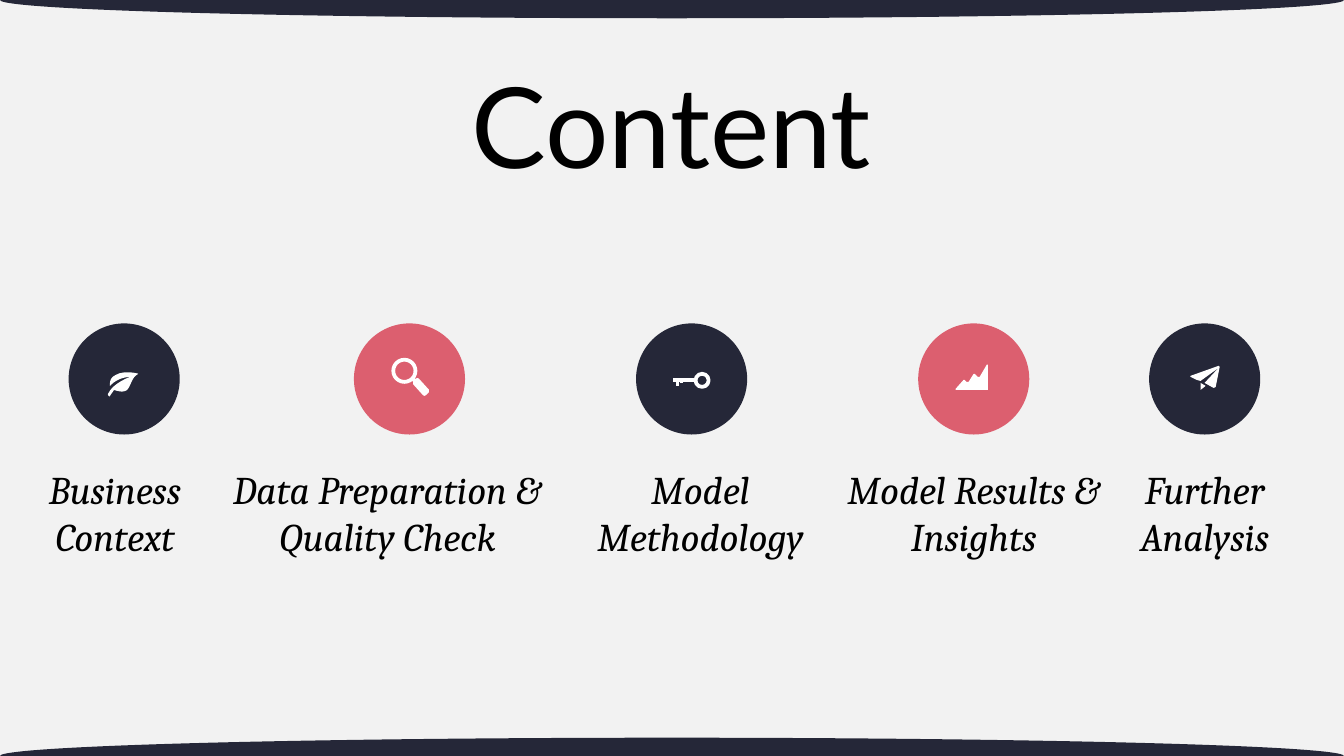
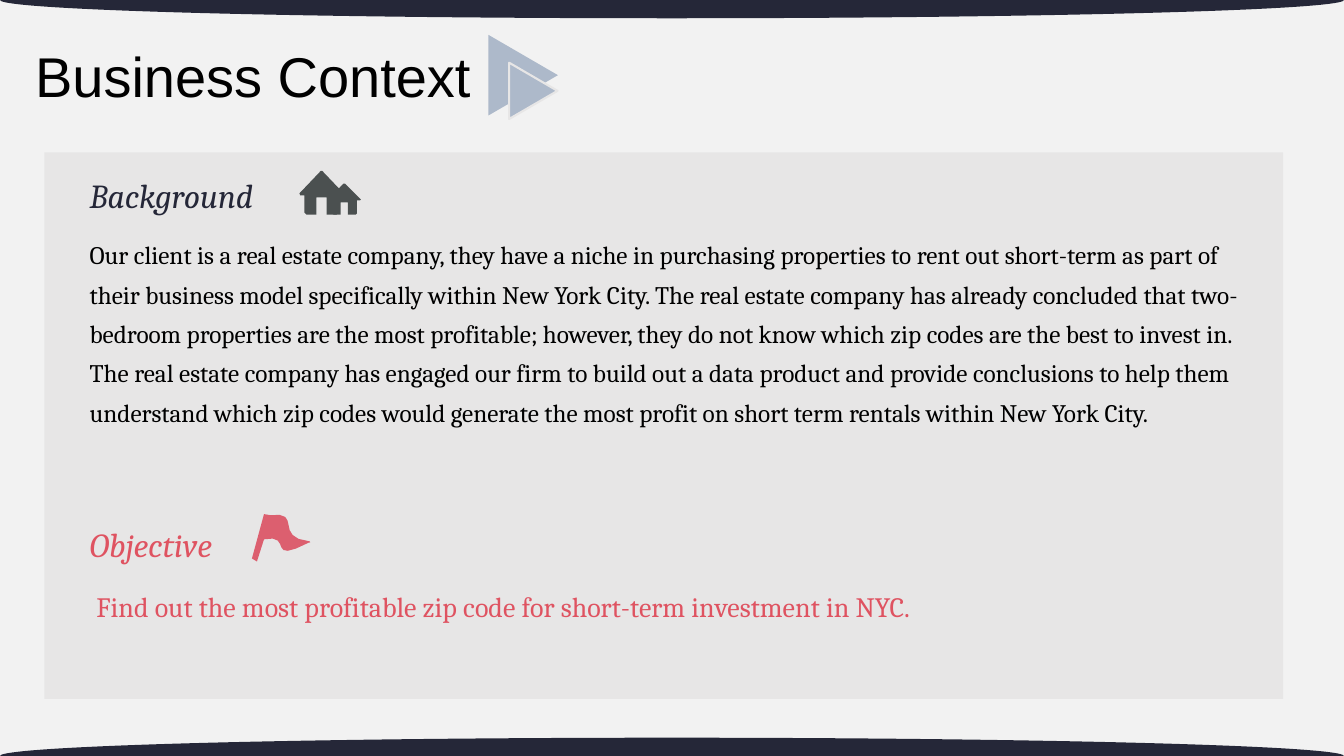
from lxml.etree import SubElement
from pptx import Presentation
from pptx.dml.color import RGBColor
from pptx.enum.shapes import MSO_CONNECTOR as Line, MSO_SHAPE as Shape
from pptx.enum.text import MSO_ANCHOR as Anchor, MSO_AUTO_SIZE as AutoSize
from pptx.enum.text import PP_ALIGN as Align
from pptx.oxml.ns import qn
from pptx.util import Cm, Pt

# Shared look
PAPER, PANEL, WHITE, BLACK = "F2F2F2", "E7E6E6", "FFFFFF", "000000"
NAVY, ROSE, RED, STEEL, SLATE = "252738", "DC5F6F", "DF5361", "ADB9CA", "4B5050"
SLIDE_WIDTH, SLIDE_HEIGHT = 33.87, 19.05
BAND_HEIGHT = 0.92
DISC_SIZE, DISC_TOP = 2.8, 8.15
LABEL_TOP, LABEL_HEIGHT = 11.6, 2.3
ICON_STROKE = 2.7
ICON_UNIT = Cm(2.54) / Cm(100)  # cm per step of the icon drawing grid
FINENESS = 10  # subdivisions of a grid step, for smooth curves

TITLE = {"alignment": Align.CENTER, "line_spacing": 0.9}
CENTERED = {"alignment": Align.CENTER}
PROSE = {"alignment": Align.LEFT, "line_spacing": 1.3}
LEFT = {"alignment": Align.LEFT}
LABEL_FONT = {"name": "Cambria", "size": Pt(28), "italic": True}
HEADING_FONT = {"name": "Cambria", "size": Pt(24), "italic": True}

# Icon outlines on the grid: pairs are corners, sextuples are Bezier curves
LEAF = [(47, 51), (40, 54, 41, 60, 41, 62), (49, 53, 61, 53, 61, 53),
        (61, 53, 44, 59, 39, 70), (39, 72, 41, 73, 41, 72), (45, 66),
        (48, 67, 54, 69, 58, 66), (62, 62, 62, 54, 69, 50),
        (71, 50, 55, 46, 47, 51)]
LENS_HANDLE = [(60, 59), (63, 56), (73, 67), (70, 70)]
AREA_CHART = [(68, 41), (61, 53), (59, 53), (56, 50), (55, 50), (50, 58),
              (48, 58), (46, 56), (45, 56), (37, 65), (37, 66), (69, 66),
              (69, 41)]
PLANE_WINGS = [(69, 42), (41, 52), (41, 53), (47, 56), (51, 57), (69, 44),
               (55, 59), (64, 64), (66, 63), (70, 43)]
PLANE_TAIL = [(51, 66), (56, 62), (51, 59)]
SMALL_HOUSE = [(62, 29), (47, 14), (46, 13, 45, 13, 44, 14), (30, 29), (30, 30),
               (33, 30), (33, 43), (35, 44), (42, 44), (42, 32), (49, 32),
               (49, 44), (57, 44), (58, 43), (58, 30), (61, 30)]
BIG_HOUSE = [(45, 23), (25, 2), (24, 0, 22, 0, 21, 2), (1, 23), (2, 25),
             (6, 25), (6, 42), (8, 44), (18, 44), (18, 27), (28, 27),
             (28, 44), (38, 44), (39, 42), (39, 25), (44, 25)]
FLAG = [(57, 30), (21, 26, 51, 0, 18, 4), (12, 3), (0, 47), (5, 50), (12, 28),
        (42, 22, 13, 54, 57, 31), (58, 32, 58, 30, 57, 30)]


def color(hex_value):
    return RGBColor.from_string(hex_value)


def paint(shape, fill=None, line=None, line_width=1.5):
    shape.shadow.inherit = False
    if fill:
        shape.fill.solid()
        shape.fill.fore_color.rgb = color(fill)
    else:
        shape.fill.background()
    if line:
        shape.line.color.rgb = color(line)
        shape.line.width = Pt(line_width)
    else:
        shape.line.fill.background()
    return shape


def add_figure(page, kind, left, top, width, height, **look):
    box = [Cm(value) for value in (left, top, width, height)]
    return paint(page.shapes.add_shape(kind, *box), **look)


def write(frame, texts, layout, font, hue=BLACK):
    """Fill a text frame with equally formatted paragraphs."""
    frame.word_wrap = True
    frame.auto_size = AutoSize.NONE
    for index, text in enumerate(texts):
        para = frame.add_paragraph() if index else frame.paragraphs[0]
        span = para.add_run()
        span.text = text
        for name, value in layout.items():
            setattr(para, name, value)
        for name, value in font.items():
            setattr(span.font, name, value)
        span.font.color.rgb = color(hue)


def add_text(page, box, texts, layout, font, hue=BLACK, anchor=Anchor.TOP):
    frame = page.shapes.add_textbox(*[Cm(value) for value in box]).text_frame
    frame.vertical_anchor = anchor
    write(frame, texts, layout, font, hue)


def add_page(deck, title, box, font):
    page = deck.slides.add_slide(deck.slide_layouts.get_by_name("Title Only"))
    holder = page.shapes.title
    for name, value in zip(("left", "top", "width", "height"), box):
        setattr(holder, name, Cm(value))
    holder.text_frame.vertical_anchor = Anchor.MIDDLE
    write(holder.text_frame, [title], TITLE, font)
    return page


# Icon parts, placed from the icon's top left corner
def trace(outline, steps=8):
    """Turn corners and Bezier curves into a list of points."""
    points = [outline[0]]
    for part in outline[1:]:
        if len(part) == 2:
            points.append(part)
            continue
        nodes = [points[-1], part[:2], part[2:4], part[4:]]
        for step in range(1, steps + 1):
            t = step / steps
            weights = ((1 - t) ** 3, 3 * t * (1 - t) ** 2, 3 * t * t * (1 - t), t ** 3)
            points.append(tuple(sum(w * node[axis] for w, node in zip(weights, nodes))
                                for axis in (0, 1)))
    return [(x * FINENESS, y * FINENESS) for x, y in points]


def add_outline(page, left, top, outline, **look):
    start, *rest = trace(outline)
    builder = page.shapes.build_freeform(*start, scale=Cm(1) * ICON_UNIT / FINENESS)
    builder.add_line_segments(rest, close=True)
    return paint(builder.convert_to_shape(Cm(left), Cm(top)), **look)


def add_ring(page, left, top, x, y, size):
    add_figure(page, Shape.OVAL, left + x * ICON_UNIT, top + y * ICON_UNIT,
               size * ICON_UNIT, size * ICON_UNIT, line=WHITE, line_width=ICON_STROKE)


def add_stroke(page, left, top, x1, y1, x2, y2):
    ends = (left + x1 * ICON_UNIT, top + y1 * ICON_UNIT,
            left + x2 * ICON_UNIT, top + y2 * ICON_UNIT)
    stroke = page.shapes.add_connector(Line.STRAIGHT, *[Cm(end) for end in ends])
    stroke.line.color.rgb = color(WHITE)
    stroke.line.width = Pt(ICON_STROKE)
    SubElement(stroke.element.spPr, qn("a:effectLst"))


# Icons
def draw_leaf(page, left, top):
    add_outline(page, left, top, LEAF, fill=WHITE)


def draw_lens(page, left, top):
    add_ring(page, left, top, 39, 36, 22)
    add_stroke(page, left, top, 58, 54, 61, 58)
    add_outline(page, left, top, LENS_HANDLE, fill=WHITE, line=WHITE,
                line_width=ICON_STROKE)


def draw_key(page, left, top):
    add_ring(page, left, top, 59, 50, 13)
    for ends in ((37, 56, 58, 56), (41, 56, 41, 62), (45, 56, 45, 59)):
        add_stroke(page, left, top, *ends)


def draw_chart(page, left, top):
    add_outline(page, left, top, AREA_CHART, fill=WHITE)


def draw_plane(page, left, top):
    for outline in (PLANE_WINGS, PLANE_TAIL):
        add_outline(page, left, top, outline, fill=WHITE)


# Slides
def style_master(deck, page):
    """Set the background and move the curved bands to the master."""
    master = deck.slide_master
    master.background.fill.solid()
    master.background.fill.fore_color.rgb = color(PAPER)
    for edge in (0, SLIDE_HEIGHT):
        band = add_figure(page, Shape.OVAL, 0, edge - BAND_HEIGHT / 2,
                          SLIDE_WIDTH, BAND_HEIGHT, fill=NAVY)
        master.shapes.element.insert(2, band.element)


def build_content(deck):
    page = add_page(deck, "Content", (10.19, 2.13, 13.46, 2.39),
                    {"name": "Lato", "size": Pt(80)})
    topics = [  # label, label left, label width, disc left, disc fill, icon
        ("Business Context", 0, 5.8, 1.73, NAVY, draw_leaf),
        ("Data Preparation & Quality Check", 5.44, 8.64, 8.92, ROSE, draw_lens),
        ("Model Methodology", 14.07, 7.16, 16.03, NAVY, draw_key),
        ("Model Results & Insights", 20.96, 7.16, 23.14, ROSE, draw_chart),
        ("Further Analysis", 27.31, 6.1, 28.96, NAVY, draw_plane),
    ]
    for label, left, width, disc_left, fill, draw_icon in topics:
        add_figure(page, Shape.OVAL, disc_left, DISC_TOP, DISC_SIZE, DISC_SIZE, fill=fill)
        draw_icon(page, disc_left, DISC_TOP)
        add_text(page, (left, LABEL_TOP, width, LABEL_HEIGHT), [label],
                 CENTERED, LABEL_FONT)
    return page


def build_context(deck):
    page = add_page(deck, "Business Context", (0.25, 0.81, 12.24, 2.39),
                    {"name": "Arial", "size": Pt(40)})
    add_figure(page, Shape.RECTANGLE, 1.12, 3.84, 31.22, 13.77, fill=PANEL)

    # Arrow mark beside the title
    for box, line in (((12.17, 1.02, 2.03, 1.75), None),
                      ((12.73, 1.68, 1.42, 1.22), PANEL)):
        arrow = add_figure(page, Shape.ISOSCELES_TRIANGLE, *box, fill=STEEL, line=line)
        arrow.rotation = 90

    # Background
    add_text(page, (2.01, 4.09, 20, 1.47), ["Background"], LEFT, HEADING_FONT,
             NAVY, Anchor.BOTTOM)
    for outline in (SMALL_HOUSE, BIG_HOUSE):
        add_outline(page, 7.52, 4.29, outline, fill=SLATE)
    add_text(page, (2.01, 5.69, 29.9, 6.73), [
        "Our client is a real estate company, they have a niche in purchasing "
        "properties to rent out short-term as part of their business model "
        "specifically within New York City. The real estate company has already "
        "concluded that two-bedroom properties are the most profitable; however, "
        "they do not know which zip codes are the best to invest in.",
        "The real estate company has engaged our firm to build out a data product "
        "and provide conclusions to help them understand which zip codes would "
        "generate the most profit on short term rentals within New York City.",
    ], PROSE, {"name": "Cambria", "size": Pt(18)})

    # Objective
    add_text(page, (2.01, 12.98, 4.14, 1.37), ["Objective"], LEFT, HEADING_FONT,
             RED, Anchor.BOTTOM)
    add_outline(page, 6.35, 12.88, FLAG, fill=ROSE)
    add_text(page, (2.18, 14.48, 24.74, 3),
             ["Find out the most profitable zip code for short-term investment in NYC."],
             PROSE, {"name": "Cambria", "size": Pt(20)}, RED)


def main():
    deck = Presentation()
    deck.slide_width, deck.slide_height = Cm(SLIDE_WIDTH), Cm(SLIDE_HEIGHT)
    first_page = build_content(deck)
    style_master(deck, first_page)
    build_context(deck)
    deck.save("out.pptx")


if __name__ == "__main__":
    main()
